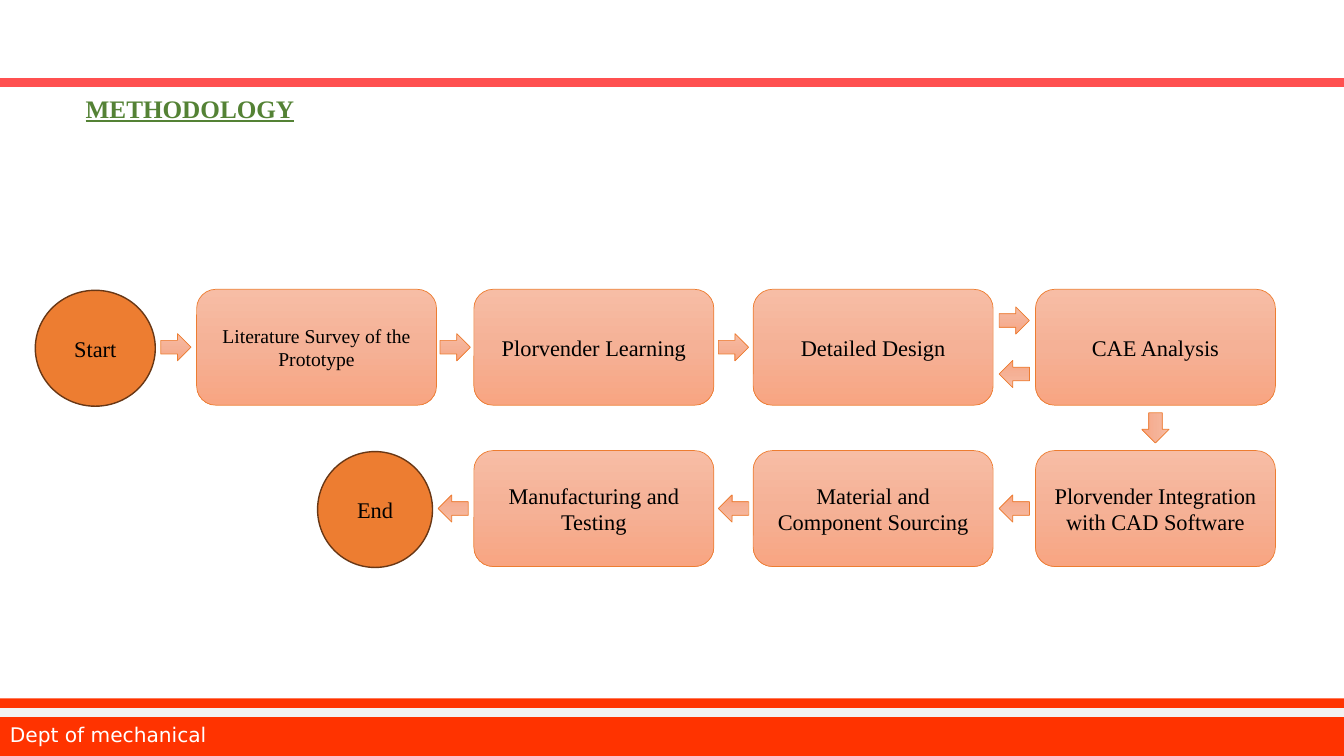
import copy

import pptx
import pptx.dml.color
import pptx.enum.shapes
import pptx.enum.text
import pptx.oxml
import pptx.oxml.ns
import pptx.util

Inches = pptx.util.Inches
Pt = pptx.util.Pt
RGBColor = pptx.dml.color.RGBColor
Shape = pptx.enum.shapes.MSO_SHAPE
Align = pptx.enum.text.PP_ALIGN
Anchor = pptx.enum.text.MSO_ANCHOR

CORAL = RGBColor(0xFF, 0x50, 0x50)
RED = RGBColor(0xFF, 0x33, 0x00)
PALE_GREY = RGBColor(0xF2, 0xF2, 0xF2)
WHITE = RGBColor(0xFF, 0xFF, 0xFF)
BLACK = RGBColor(0, 0, 0)
GREEN = RGBColor(0x54, 0x82, 0x35)
ORANGE = RGBColor(0xED, 0x7D, 0x31)
BROWN = RGBColor(0x68, 0x37, 0x15)
PEACH = (
    (0, RGBColor(0xF7, 0xBD, 0xA5)),
    (0.5, RGBColor(0xF5, 0xB1, 0x96)),
    (1, RGBColor(0xF8, 0xA5, 0x82)),
)

SLIDE_W, SLIDE_H = 13.33, 7.5
COLUMNS = (1.95, 4.7, 7.47, 10.27)
ROWS = (2.87, 4.47)
STEP_W, STEP_H = 2.38, 1.15
ARROW_W, ARROW_H = 0.3, 0.27
START_X, START_W = 0.35, 1.19
END_X, END_W = 3.15, 1.14
LOOP_OFFSET = 0.265

STEPS = (
    (0, 0, "Literature Survey of the Prototype", 14),
    (1, 0, "Plorvender Learning", 16),
    (2, 0, "Detailed Design", 16),
    (3, 0, "CAE Analysis", 16),
    (3, 1, "Plorvender Integration with CAD Software", 16),
    (2, 1, "Material and Component Sourcing", 16),
    (1, 1, "Manufacturing and Testing", 16),
)

FLOW_FONT = {"name": "Times New Roman", "size": Pt(16)}
TITLE_FONT = {"name": "Times New Roman", "size": Pt(18), "bold": True, "underline": True}
FOOTER_FONT = {"name": "DejaVu Sans", "size": Pt(14.4)}


def write(holder, words, font, color, align):
    frame = holder.text_frame
    frame.word_wrap = True
    frame.vertical_anchor = Anchor.MIDDLE
    paragraph = frame.paragraphs[0]
    paragraph.alignment = align
    run = paragraph.add_run()
    run.text = words
    for attribute, value in font.items():
        setattr(run.font, attribute, value)
    run.font.color.rgb = color
    return paragraph


def add_rule(slide, y, color):
    rule = slide.shapes.add_connector(
        pptx.enum.shapes.MSO_CONNECTOR.STRAIGHT,
        0, Inches(y), Inches(SLIDE_W), Inches(y))
    rule.line.color.rgb = color
    rule.line.width = Pt(6)
    properties = rule._element.spPr
    properties.append(pptx.oxml.parse_xml(
        "<a:effectLst %s/>" % pptx.oxml.ns.nsdecls("a")))


def add_solid(slide, kind, box, fill, outline=None):
    solid = slide.shapes.add_shape(kind, *map(Inches, box))
    solid.shadow.inherit = False
    solid.fill.solid()
    solid.fill.fore_color.rgb = fill
    if outline is None:
        solid.line.fill.background()
    else:
        solid.line.color.rgb = outline
        solid.line.width = Pt(1)
    return solid


def add_peach(slide, kind, box):
    peach = slide.shapes.add_shape(kind, *map(Inches, box))
    peach.shadow.inherit = False
    peach.fill.gradient()
    peach.fill.gradient_angle = 270
    stops = peach._element.spPr.find(".//" + pptx.oxml.ns.qn("a:gsLst"))
    stops.insert(1, copy.deepcopy(stops[0]))
    for stop, (position, color) in zip(peach.fill.gradient_stops, PEACH):
        stop.position = position
        stop.color.rgb = color
    peach.line.color.rgb = ORANGE
    peach.line.width = Pt(0.5)
    return peach


def add_step(slide, column, row, words, size):
    step = add_peach(slide, Shape.ROUNDED_RECTANGLE,
                     (COLUMNS[column], ROWS[row], STEP_W, STEP_H))
    write(step, words, {**FLOW_FONT, "size": Pt(size)}, BLACK, Align.CENTER)


def add_terminal(slide, x, row, width, words):
    terminal = add_solid(slide, Shape.OVAL, (x, ROWS[row] + 0.01, width, STEP_H),
                         ORANGE, BROWN)
    write(terminal, words, FLOW_FONT, BLACK, Align.CENTER)


def add_arrow(slide, center_x, center_y, rotation=0):
    arrow = add_peach(slide, Shape.RIGHT_ARROW,
                      (center_x - ARROW_W / 2, center_y - ARROW_H / 2, ARROW_W, ARROW_H))
    arrow.rotation = rotation


def add_arrows(slide):
    upper, lower = (top + STEP_H / 2 for top in ROWS)
    gaps = [(left + STEP_W + right) / 2 for left, right in zip(COLUMNS, COLUMNS[1:])]
    after_start = (START_X + START_W + COLUMNS[0]) / 2
    before_end = (END_X + END_W + COLUMNS[1]) / 2
    for x in (after_start, *gaps[:2]):
        add_arrow(slide, x, upper)
    add_arrow(slide, gaps[2], upper - LOOP_OFFSET)
    add_arrow(slide, gaps[2], upper + LOOP_OFFSET, 180)
    add_arrow(slide, COLUMNS[3] + STEP_W / 2, (ROWS[0] + STEP_H + ROWS[1]) / 2, 90)
    for x in (gaps[2], gaps[1], before_end):
        add_arrow(slide, x, lower, 180)


def add_title(slide):
    heading = slide.shapes.title
    place = {"left": 0.75, "top": 0.74, "width": 3.2, "height": 0.7}
    for attribute, value in place.items():
        setattr(heading, attribute, Inches(value))
    heading.text_frame.auto_size = pptx.enum.text.MSO_AUTO_SIZE.NONE
    paragraph = write(heading, "METHODOLOGY", TITLE_FONT, GREEN, Align.LEFT)
    paragraph.line_spacing = 0.9


def add_footer(slide):
    add_solid(slide, Shape.RECTANGLE, (0, 6.93, SLIDE_W, 0.57), RED)
    add_rule(slide, 7.07, PALE_GREY)
    department = slide.shapes.add_textbox(*map(Inches, (0, 7.07, 4.17, 0.43)))
    write(department, "Dept of mechanical", FOOTER_FONT, WHITE, Align.LEFT)


def main():
    deck = pptx.Presentation()
    deck.slide_width, deck.slide_height = Inches(SLIDE_W), Inches(SLIDE_H)
    slide = deck.slides.add_slide(deck.slide_layouts[5])
    add_rule(slide, 0.82, CORAL)
    add_footer(slide)
    for step in STEPS:
        add_step(slide, *step)
    add_terminal(slide, START_X, 0, START_W, "Start")
    add_terminal(slide, END_X, 1, END_W, "End")
    add_arrows(slide)
    add_title(slide)
    deck.save("out.pptx")


if __name__ == "__main__":
    main()
